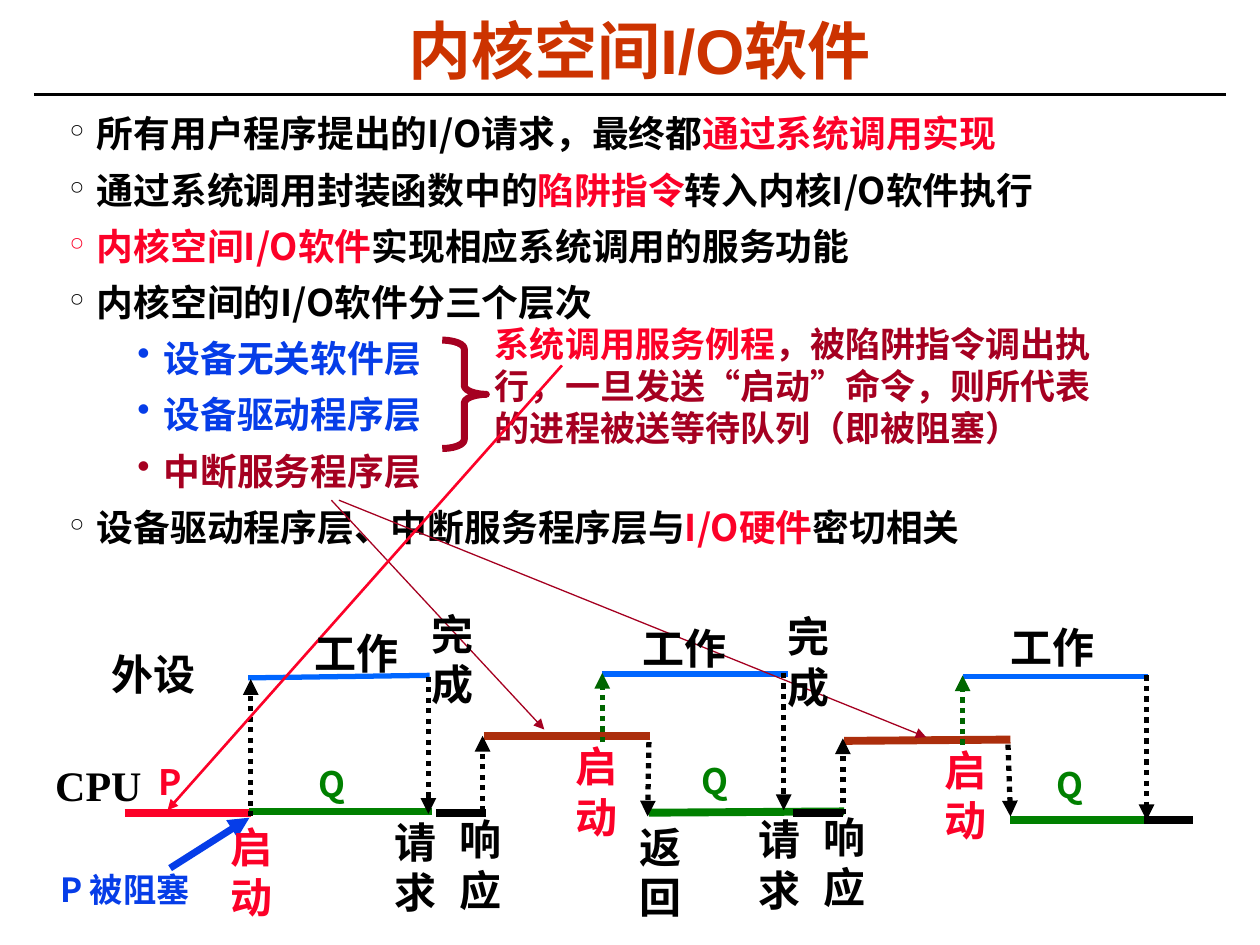
from dataclasses import dataclass

import pptx
import pptx.dml.color
import pptx.enum.dml
import pptx.enum.shapes
import pptx.enum.text
import pptx.oxml.ns
import pptx.util
from lxml import etree

Inches = pptx.util.Inches
Pt = pptx.util.Pt


@dataclass(frozen=True)
class Theme:
    black: str = "000000"
    title: str = "CC3300"
    red: str = "FC0128"
    crimson: str = "A50021"
    blue: str = "063DE8"
    device: str = "0066FF"
    green: str = "008000"
    dark_green: str = "006600"
    kernel: str = "AC2E0C"
    heading_font: str = "Arial"
    font: str = "Noto Sans CJK SC"
    serif: str = "Times New Roman"
    title_size: float = 36
    body_size: float = 21
    note_size: float = 20
    blocked_size: float = 19
    label_size: float = 24


THEME = Theme()

# Each bullet: level and its (text, colour) runs
BULLETS = [
    (0, [("所有用户程序提出的I/O请求，最终都", THEME.black), ("通过系统调用实现", THEME.red)]),
    (0, [("通过系统调用封装函数中的", THEME.black), ("陷阱指令", THEME.red),
         ("转入内核I/O软件执行", THEME.black)]),
    (0, [("内核空间I/O软件", THEME.red), ("实现相应系统调用的服务功能", THEME.black)]),
    (0, [("内核空间的I/O软件分三个层次", THEME.black)]),
    (1, [("设备无关软件层", THEME.blue)]),
    (1, [("设备驱动程序层", THEME.blue)]),
    (1, [("中断服务程序层", THEME.crimson)]),
    (0, [("设备驱动程序层、中断服务程序层与", THEME.black), ("I/O硬件", THEME.red),
         ("密切相关", THEME.black)]),
]
BULLET_STYLES = [("°", 0.22, -0.22), ("•", 0.75, -0.21)]

# Timeline segments: x1, y1, x2, y2, colour, width
SEGMENTS = [
    (0.99, 6.45, 1.99, 6.45, THEME.red, 4.5),
    (1.97, 5.38, 3.41, 5.36, THEME.device, 3),
    (4.78, 5.35, 6.25, 5.35, THEME.device, 3),
    (7.64, 5.37, 9.11, 5.37, THEME.device, 3),
    (5.15, 6.45, 6.7, 6.44, THEME.green, 4.5),
    (8.02, 6.51, 9.41, 6.51, THEME.green, 4.5),
    (3.84, 5.84, 5.16, 5.84, THEME.kernel, 4.5),
    (6.7, 5.88, 8.02, 5.87, THEME.kernel, 4.5),
    (3.46, 6.45, 3.86, 6.45, THEME.black, 4.5),
    (6.29, 6.45, 6.69, 6.45, THEME.black, 4.5),
    (9.08, 6.51, 9.47, 6.51, THEME.black, 4.5),
    (1.98, 6.44, 3.43, 6.44, THEME.green, 4),
]

# Dotted switches between device and CPU, pointing at the second end
SWITCHES = [
    (1.99, 6.48, 1.99, 5.39, THEME.black),
    (3.4, 5.37, 3.4, 6.46, THEME.black),
    (3.83, 6.44, 3.83, 5.84, THEME.black),
    (4.78, 5.89, 4.78, 5.34, THEME.dark_green),
    (5.15, 5.89, 5.14, 6.48, THEME.black),
    (6.22, 5.34, 6.22, 6.43, THEME.black),
    (6.69, 6.46, 6.69, 5.86, THEME.black),
    (7.64, 5.91, 7.64, 5.36, THEME.dark_green),
    (8, 5.91, 8.02, 6.48, THEME.black),
    (9.1, 5.36, 9.1, 6.51, THEME.black),
]

# Solid arrows: x1, y1, x2, y2, colour, width
POINTERS = [
    (2.63, 3.97, 4.32, 5.79, THEME.crimson, 0.75),
    (2.69, 3.97, 7.35, 5.85, THEME.crimson, 0.75),
    (4.46, 2.9, 1.33, 6.43, THEME.red, 1.5),
    (1.35, 6.89, 1.98, 6.49, THEME.blue, 4),
]

# Diagram labels: text, colour, width, height and the corners where they stand
LABELS = [
    ("外设", THEME.black, 0.94, 0.5, [(0.79, 5.1)]),
    ("CPU", THEME.black, 0.94, 0.5, [(0.34, 5.98)]),
    ("工作", THEME.black, 1.16, 0.5, [(2.4, 4.93), (5, 4.89), (7.92, 4.88)]),
    ("启动", THEME.red, 0.54, 0.9, [(1.73, 6.47), (4.47, 5.83), (7.4, 5.86)]),
    ("完成", THEME.black, 0.5, 0.9, [(3.33, 4.78), (6.15, 4.8)]),
    ("请求", THEME.black, 0.57, 0.9, [(3.03, 6.43), (5.92, 6.41)]),
    ("响应", THEME.black, 0.57, 0.9, [(3.55, 6.41), (6.44, 6.39)]),
    ("返回", THEME.black, 0.57, 0.9, [(4.98, 6.47)]),
]
PROCESSES = [
    ("Q", THEME.green, 0.68, 0.43, [(2.43, 6), (5.47, 5.98), (8.29, 6.01)]),
    ("P", THEME.red, 0.49, 0.43, [(1.16, 5.99)]),
]


def rgb(colour):
    return pptx.dml.color.RGBColor.from_string(colour)


def add_run(paragraph, text, *, size, colour, font=THEME.font):
    run = paragraph.add_run()
    run.text = text
    run.font.size = Pt(size)
    run.font.bold = True
    run.font.name = font
    run.font.color.rgb = rgb(colour)
    east_asian = etree.SubElement(run.font._element, pptx.oxml.ns.qn("a:ea"))
    east_asian.set("typeface", THEME.font)


def add_frame(slide, left, top, width, height, margins=(0.1, 0.05)):
    box = slide.shapes.add_textbox(*map(Inches, (left, top, width, height)))
    frame = box.text_frame
    frame.word_wrap = True
    frame.margin_left = frame.margin_right = Inches(margins[0])
    frame.margin_top = frame.margin_bottom = Inches(margins[1])
    return frame


def add_line(slide, x1, y1, x2, y2, colour, width, *, arrow=False, dotted=False):
    connector = slide.shapes.add_connector(
        pptx.enum.shapes.MSO_CONNECTOR.STRAIGHT, *map(Inches, (x1, y1, x2, y2)))
    connector.line.color.rgb = rgb(colour)
    connector.line.width = Pt(width)
    if dotted:
        connector.line.dash_style = pptx.enum.dml.MSO_LINE.ROUND_DOT
    properties = connector._element.spPr
    if arrow:
        outline = properties.find(pptx.oxml.ns.qn("a:ln"))
        etree.SubElement(outline, pptx.oxml.ns.qn("a:tailEnd")).set("type", "triangle")
    etree.SubElement(properties, pptx.oxml.ns.qn("a:effectLst"))


def add_title(slide):
    add_line(slide, 0.27, 0.75, 9.73, 0.75, THEME.black, 1.5)
    title = add_frame(slide, 0.26, 0.14, 9.63, 0.58, (0.07, 0.03)).paragraphs[0]
    title.alignment = pptx.enum.text.PP_ALIGN.CENTER
    title.line_spacing = 0.87
    add_run(title, "内核空间I/O软件", size=THEME.title_size, colour=THEME.title,
            font=THEME.heading_font)


def add_bullets(slide):
    frame = add_frame(slide, 0.48, 0.8, 8.96, 3.64, (0.07, 0.03))
    for index, (level, runs) in enumerate(BULLETS):
        paragraph = frame.add_paragraph() if index else frame.paragraphs[0]
        mark, margin, indent = BULLET_STYLES[level]
        paragraph.level = level
        paragraph.line_spacing = 1.15
        if index:
            paragraph.space_before = Pt(0.15 * THEME.body_size)
        properties = paragraph._p.get_or_add_pPr()
        properties.set("marL", str(Inches(margin)))
        properties.set("indent", str(Inches(indent)))
        etree.SubElement(properties, pptx.oxml.ns.qn("a:buChar")).set("char", mark)
        for text, colour in runs:
            add_run(paragraph, text, size=THEME.body_size, colour=colour)


def add_brace_note(slide):
    brace = slide.shapes.add_shape(pptx.enum.shapes.MSO_SHAPE.RIGHT_BRACE,
                                   *map(Inches, (3.51, 2.7, 0.35, 0.86)))
    brace.adjustments[0] = 0.2
    brace.adjustments[1] = 0.5
    brace.shadow.inherit = False
    brace.fill.background()
    brace.line.color.rgb = rgb(THEME.crimson)
    brace.line.width = Pt(4)
    note = add_frame(slide, 3.83, 2.51, 5.06, 1.1).paragraphs[0]
    add_run(note, "系统调用服务例程", size=THEME.note_size, colour=THEME.red)
    add_run(note, "，被陷阱指令调出执行，一旦发送“启动”命令，则所代表的进程被送等待队列（即被阻塞）",
            size=THEME.note_size, colour=THEME.crimson)


def add_labels(slide, labels, **text_format):
    for text, colour, width, height, corners in labels:
        for left, top in corners:
            frame = add_frame(slide, left, top, width, height)
            add_run(frame.paragraphs[0], text, colour=colour, **text_format)


def add_timeline(slide):
    for segment in SEGMENTS:
        add_line(slide, *segment)
    for switch in SWITCHES:
        add_line(slide, *switch, 3, arrow=True, dotted=True)
    for pointer in POINTERS:
        add_line(slide, *pointer, arrow=True)
    add_labels(slide, LABELS, size=THEME.label_size, font=THEME.serif)
    add_labels(slide, PROCESSES, size=THEME.note_size)
    add_labels(slide, [("P 被阻塞", THEME.blue, 1.38, 0.42, [(0.38, 6.85)])],
               size=THEME.blocked_size)


def main():
    deck = pptx.Presentation()
    deck.slide_width = Inches(10)
    deck.slide_height = Inches(7.5)
    slide = deck.slides.add_slide(deck.slide_layouts[6])
    add_title(slide)
    add_bullets(slide)
    add_brace_note(slide)
    add_timeline(slide)
    deck.save("out.pptx")


if __name__ == "__main__":
    main()
